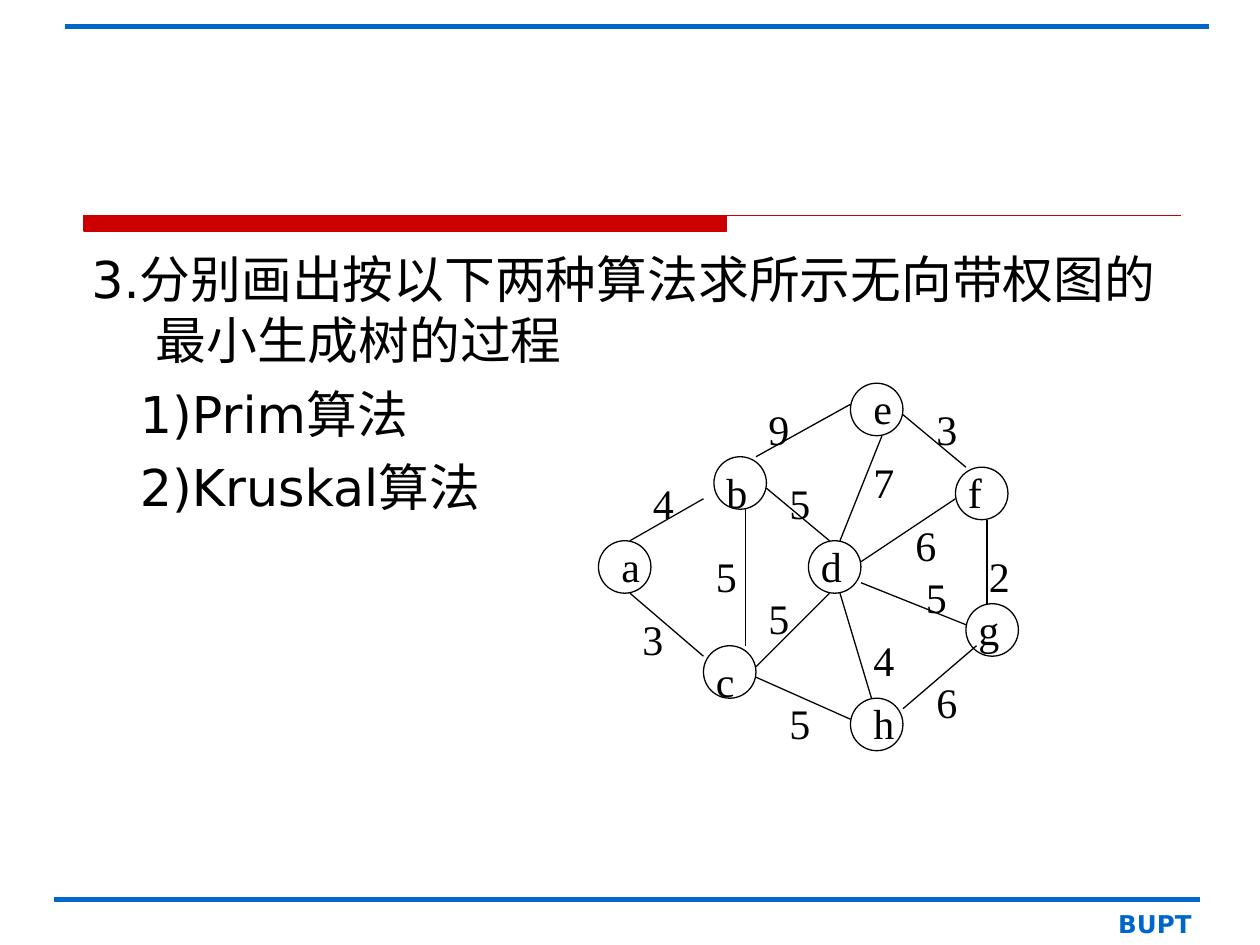
from dataclasses import dataclass

from lxml import etree
from pptx import Presentation
from pptx import util as u
from pptx.dml.color import RGBColor
from pptx.enum import shapes, text
from pptx.oxml.ns import qn

Pt = u.Pt


@dataclass(frozen=True)
class Theme:
    black: RGBColor = RGBColor(0, 0, 0)
    red: RGBColor = RGBColor(0xCC, 0, 0)
    blue: RGBColor = RGBColor(0, 0x66, 0xCC)
    sans: str = "DejaVu Sans"
    serif: str = "Times New Roman"
    body_size: float = 29
    graph_size: float = 24
    footer_size: float = 14
    thin: float = 0.75
    thick: float = 3


THEME = Theme()

# Text, left margin, first-line indent
QUESTION = [
    ("3.分别画出按以下两种算法求所示无向带权图的最小生成树的过程", 36.7, -36.7),
    ("1)Prim算法", 27.7, 0),
    ("2)Kruskal算法", 27.7, 0),
]
FOOTER = "BUPT"
FRAME_LINES = [((37, 15), (691, 15)), ((31, 514), (685.5, 514))]

NODE_DIAMETER = 30
LABEL_HEIGHT = 36
# Name, circle corner, label corner, label width
NODES = [
    ("a", (342, 309), (348, 303), 30),
    ("b", (408, 261), (408, 261), 30),
    ("c", (402, 369), (402, 369), 30),
    ("d", (462, 309), (462, 303), 36),
    ("e", (486, 219), (492, 213), 36),
    ("f", (546, 267), (546, 261), 30),
    ("g", (552, 345), (552, 339), 30),
    ("h", (486, 399), (492, 393), 42),
]
# Weight, start, end, label corner, label width
EDGES = [
    ("4", (360, 309), (402, 285), (366, 267), 36),  # a-b
    ("3", (360, 339), (402, 375), (360, 345), 36),  # a-c
    ("5", (426, 291), (426, 369), (402, 309), 48),  # b-c
    ("5", (438, 279), (474, 309), (444, 267), 42),  # b-d
    ("5", (432, 381), (474, 339), (432, 333), 42),  # c-d
    ("9", (432, 261), (486, 231), (432, 225), 30),  # b-e
    ("7", (504, 249), (480, 309), (492, 255), 36),  # e-d
    ("3", (516, 237), (552, 267), (528, 225), 24),  # e-f
    ("6", (492, 321), (546, 285), (516, 291), 36),  # d-f
    ("5", (432, 387), (486, 411), (444, 393), 36),  # c-h
    ("6", (516, 405), (558, 369), (528, 381), 36),  # h-g
    ("2", (564, 297), (564, 345), (558, 309), 30),  # f-g
    ("4", (480, 339), (498, 399), (492, 357), 24),  # d-h
    ("5", (492, 333), (552, 357), (522, 321), 36),  # d-g
]


def add_run(paragraph, words, font, size, color, bold=False):
    run = paragraph.add_run()
    run.text = words
    run.font.name = font
    run.font.size = Pt(size)
    run.font.color.rgb = color
    run.font.bold = bold


def set_insets(frame, left, top, right, bottom):
    frame.margin_left, frame.margin_top = Pt(left), Pt(top)
    frame.margin_right, frame.margin_bottom = Pt(right), Pt(bottom)


def add_line(slide, start, end, color, width):
    line = slide.shapes.add_connector(
        shapes.MSO_CONNECTOR.STRAIGHT, *map(Pt, start + end))
    line.line.color.rgb = color
    line.line.width = Pt(width)
    etree.SubElement(line._element.spPr, qn("a:effectLst"))


def add_divider(slide):
    """Thick red bar that continues as a hairline to the right."""
    left, bar_end, right, top, bottom = 48, 415, 675, 123, 132
    outline = slide.shapes.build_freeform(left, top, scale=Pt(1))
    outline.add_line_segments(
        [(bar_end, top), (bar_end, bottom), (left, bottom)], close=True)
    outline.move_to(left, top)
    outline.add_line_segments([(right, top)], close=False)
    divider = outline.convert_to_shape()
    divider.shadow.inherit = False
    divider.fill.solid()
    divider.fill.fore_color.rgb = THEME.red
    divider.line.color.rgb = THEME.red
    divider.line.width = Pt(THEME.thin)


def add_footer(slide):
    frame = slide.shapes.add_textbox(Pt(496), Pt(516), Pt(192), Pt(24.5)).text_frame
    frame.word_wrap = True
    paragraph = frame.paragraphs[0]
    paragraph.alignment = text.PP_ALIGN.RIGHT
    add_run(paragraph, FOOTER, THEME.sans, THEME.footer_size, THEME.blue, bold=True)


def fill_question(body):
    body.left, body.top, body.width, body.height = map(Pt, (45, 138, 630, 336))
    frame = body.text_frame
    frame.auto_size = text.MSO_AUTO_SIZE.NONE
    set_insets(frame, 7.2, 3.6, 3.6, 3.6)
    for index, (words, margin, indent) in enumerate(QUESTION):
        paragraph = frame.add_paragraph() if index else frame.paragraphs[0]
        properties = paragraph._p.get_or_add_pPr()
        properties.set("marL", str(Pt(margin)))
        properties.set("indent", str(Pt(indent)))
        etree.SubElement(properties, qn("a:buNone"))
        paragraph.space_before = Pt(7.3 if index else 0)
        add_run(paragraph, words, THEME.sans, THEME.body_size, THEME.black)


def add_node(slide, corner):
    node = slide.shapes.add_shape(
        shapes.MSO_SHAPE.OVAL, *map(Pt, corner), Pt(NODE_DIAMETER), Pt(NODE_DIAMETER))
    node.shadow.inherit = False
    node.fill.background()
    node.line.color.rgb = THEME.black
    node.line.width = Pt(THEME.thin)


def add_graph_label(slide, words, corner, width):
    frame = slide.shapes.add_textbox(
        *map(Pt, corner), Pt(width), Pt(LABEL_HEIGHT)).text_frame
    frame.word_wrap = True
    set_insets(frame, 7.2, 5.6, 7.2, 1.6)
    add_run(frame.paragraphs[0], words, THEME.serif, THEME.graph_size, THEME.black)


def main():
    deck = Presentation()
    deck.slide_width, deck.slide_height = Pt(720), Pt(540)
    slide = deck.slides.add_slide(deck.slide_layouts[1])
    title, body = slide.placeholders
    title._element.getparent().remove(title._element)

    add_divider(slide)
    for start, end in FRAME_LINES:
        add_line(slide, start, end, THEME.blue, THEME.thick)
    add_footer(slide)
    fill_question(body)

    for _, circle, _, _ in NODES:
        add_node(slide, circle)
    for _, start, end, _, _ in EDGES:
        add_line(slide, start, end, THEME.black, THEME.thin)
    for words, *_, corner, width in NODES + EDGES:
        add_graph_label(slide, words, corner, width)
    deck.save("out.pptx")


if __name__ == "__main__":
    main()
